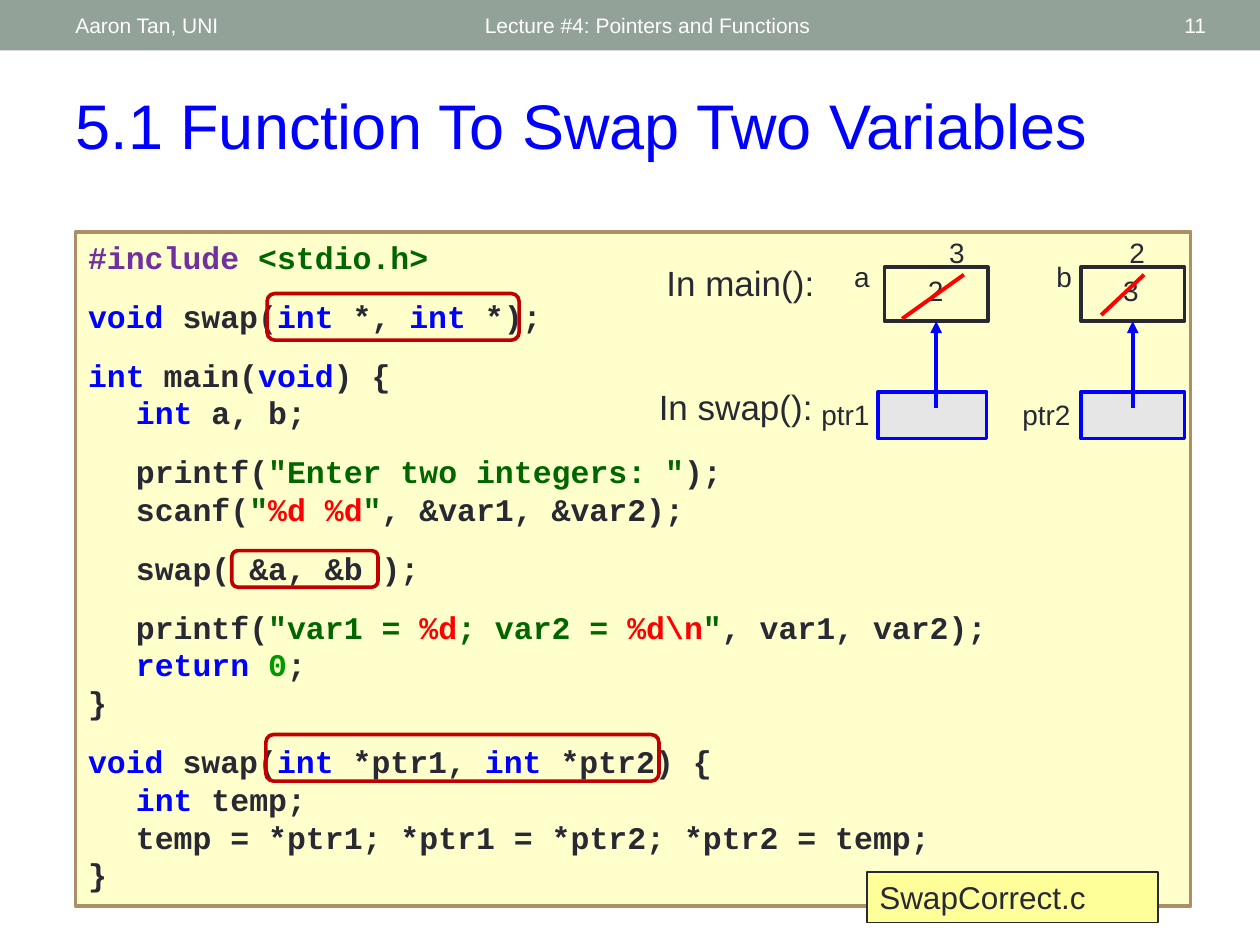
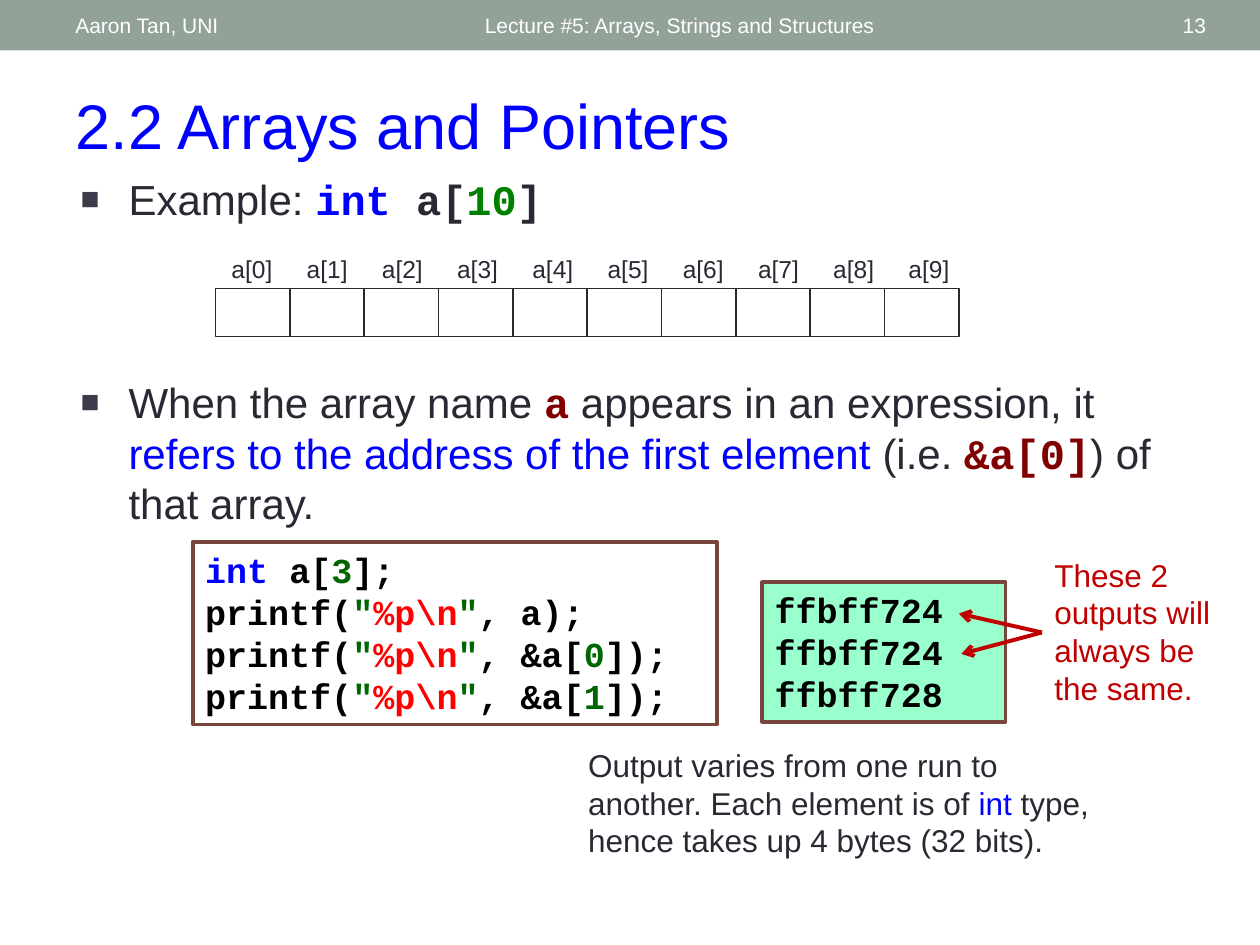
"""Build two programming lecture slides: swapping variables, and arrays and pointers."""
from functools import partial
from typing import NamedTuple, Optional

from lxml import etree
from pptx import Presentation
from pptx import util as u
from pptx.dml.color import RGBColor
from pptx.enum import shapes, text
from pptx.oxml.ns import qn

INK = RGBColor(0x29, 0x29, 0x34)
BLACK = RGBColor(0, 0, 0)
WHITE = RGBColor(255, 255, 255)
BLUE = RGBColor(0, 0, 255)
RED = RGBColor(255, 0, 0)
CRIMSON = RGBColor(0xC0, 0, 0)
MAROON = RGBColor(0x80, 0, 0)
PURPLE = RGBColor(0x70, 0x30, 0xA0)
DARK_GREEN = RGBColor(0, 0x66, 0)
MID_GREEN = RGBColor(0, 0x80, 0)
GREEN = RGBColor(0, 0x99, 0)
SAGE = RGBColor(0x93, 0xA2, 0x99)
CREAM = RGBColor(0xFF, 0xFF, 0xCC)
YELLOW = RGBColor(0xFF, 0xFF, 0x99)
MINT = RGBColor(0x99, 0xFF, 0xCC)
TAN = RGBColor(0xAD, 0x8F, 0x67)
BROWN = RGBColor(0x79, 0x46, 0x3D)
GREY = RGBColor(0xE6, 0xE6, 0xE6)
BULLET = "3B3B4B"

SANS, MONO = "Arial", "Courier New"
CELL = u.Inches(0.1)
COLS, ROWS = 100, 75
TAB = 3.8
BORDER = 2.08
LEFT, CENTER, RIGHT = text.PP_ALIGN.LEFT, text.PP_ALIGN.CENTER, text.PP_ALIGN.RIGHT


class Box(NamedTuple):
    """A place on the grid, in columns and rows."""
    col: float
    row: float
    cols: float
    rows: float


class Run(NamedTuple):
    """A stretch of text in one colour and font."""
    words: str
    color: RGBColor = INK
    font: str = SANS
    bold: bool = False


class Line(NamedTuple):
    """One paragraph, with the points of space above it and its indent in columns."""
    runs: list
    gap: float = 0
    indent: float = 0


class Variable(NamedTuple):
    """A variable of main() with the pointer of swap() that aims at it."""
    name: str
    name_box: Box
    old: str
    old_col: float
    new: str
    new_col: float
    cell: Box
    pointer: str
    pointer_box: Box
    pointer_cell: Box
    arrow_col: float
    strike: tuple


code = partial(Run, font=MONO, bold=True)
keyword = partial(code, color=BLUE)
string = partial(code, color=DARK_GREEN)
escape = partial(code, color=RED)
plain = partial(code, color=BLACK)


def grid(n: float) -> u.Emu:
    """Turn grid cells into a length."""
    return u.Emu(round(n * CELL))


def place(box: Box) -> list:
    """Turn a grid box into left, top, width and height."""
    return [grid(n) for n in box]


def write(sp, lines: list, size: float, align=LEFT, anchor=text.MSO_ANCHOR.TOP, wrap=True) -> None:
    """Write paragraphs into a shape, run by run."""
    tf = sp.text_frame
    tf.auto_size = text.MSO_AUTO_SIZE.NONE
    tf.word_wrap = wrap
    tf.vertical_anchor = anchor
    for i, line in enumerate(lines):
        p = tf.paragraphs[0] if i == 0 else tf.add_paragraph()
        p.alignment = align
        p.line_spacing = u.Pt(1.2 * size)
        p.space_before = u.Pt(line.gap)
        if line.indent:
            p._p.get_or_add_pPr().set("marL", str(grid(line.indent)))
        for run in line.runs:
            r = p.add_run()
            r.text = run.words
            r.font.size = u.Pt(size)
            r.font.name = run.font
            r.font.bold = run.bold
            r.font.color.rgb = run.color


def add_text(s, box: Box, runs: list, size: float, **layout) -> None:
    """Add a text box with one paragraph."""
    write(s.shapes.add_textbox(*place(box)), [Line(runs)], size, **layout)


def add_label(s, box: Box, words: str, size: float = 16) -> None:
    """Add a short centred label."""
    add_text(s, box, [Run(words)], size, align=CENTER, wrap=False)


def add_box(s, box: Box, fill: Optional[RGBColor] = None, line: Optional[RGBColor] = None,
            width: float = BORDER, kind=shapes.MSO_SHAPE.RECTANGLE):
    """Add a flat shape with an optional fill and border."""
    sp = s.shapes.add_shape(kind, *place(box))
    sp.shadow.inherit = False
    if fill is None:
        sp.fill.background()
    else:
        sp.fill.solid()
        sp.fill.fore_color.rgb = fill
    if line is None:
        sp.line.fill.background()
    else:
        sp.line.color.rgb = line
        sp.line.width = u.Pt(width)
    return sp


def add_line(s, ends: tuple, color: RGBColor, head: Optional[str] = None) -> None:
    """Add a straight line, with an arrowhead at its end if one is named."""
    cx = s.shapes.add_connector(shapes.MSO_CONNECTOR.STRAIGHT, *place(ends))
    cx.line.color.rgb = color
    cx.line.width = u.Pt(2.25)
    if head:
        etree.SubElement(cx.line._get_or_add_ln(), qn("a:tailEnd"), type=head)
    etree.SubElement(cx._element.spPr, qn("a:effectLst"))


def fill_placeholder(sp, box: Box, runs: list, size: float, **layout) -> None:
    """Move a placeholder and write its text."""
    sp.left, sp.top, sp.width, sp.height = place(box)
    write(sp, [Line(runs)], size, **layout)


def add_bullet(sp, box: Box, runs: list) -> None:
    """Fill a body placeholder with one square-bulleted item."""
    fill_placeholder(sp, box, runs, 24)
    pPr = sp.text_frame.paragraphs[0]._p.get_or_add_pPr()
    pPr.set("marL", str(grid(TAB)))
    pPr.set("indent", str(-grid(TAB)))
    color = etree.SubElement(pPr, qn("a:buClr"))
    etree.SubElement(color, qn("a:srgbClr"), val=BULLET)
    etree.SubElement(pPr, qn("a:buSzPct"), val="75000")
    etree.SubElement(pPr, qn("a:buFont"), typeface=SANS)
    etree.SubElement(pPr, qn("a:buChar"), char="■")


def start_slide(prs, layout: int, title: str, lecture: str, number: str):
    """Add a slide with the shared title and header band."""
    s = prs.slides.add_slide(prs.slide_layouts[layout])
    add_box(s, Box(0, 0, COLS, 4), SAGE)
    fill_placeholder(s.shapes.title, Box(5, 6.4, 91.7, 7.1), [Run(title, BLUE)], 36)
    for words, col, cols, align in ((lecture, 37.5, 45, LEFT), ("Aaron Tan, UNI", 5, 31.7, LEFT),
                                    (number, 87.2, 9.5, RIGHT)):
        add_text(s, Box(col, 0.2, cols, 3.6), [Run(words, WHITE)], 12, align=align,
                 anchor=text.MSO_ANCHOR.MIDDLE)
    return s


def add_variable(s, v: Variable) -> None:
    """Draw a variable, its struck-out value, and the pointer to it."""
    add_label(s, Box(v.old_col, 21.2, 6.1, 3.7), v.old)
    add_box(s, v.cell, line=INK)
    add_label(s, v.name_box, v.name)
    add_box(s, v.pointer_cell, GREY, BLUE)
    add_label(s, v.pointer_box, v.pointer)
    add_line(s, (v.arrow_col, 32.4, v.arrow_col, 25.5), BLUE, "triangle")
    add_line(s, v.strike, RED)
    add_label(s, Box(v.new_col, 18.2, 6.1, 3.7), v.new)


def build_swap(prs) -> None:
    """Build the slide on swapping two variables."""
    s = start_slide(prs, 5, "5.1 Function To Swap Two Variables",
                    "Lecture #4: Pointers and Functions", "11")
    gap = 12
    program = [
        Line([code("#include ", PURPLE), string("<stdio.h>")]),
        Line([keyword("void "), code("swap("), keyword("int "), code("*, "), keyword("int "),
              code("*);")], gap),
        Line([keyword("int"), code(" main("), keyword("void"), code(") {")], gap),
        Line([keyword("int "), code("a, b;")], 0, TAB),
        Line([code("printf("), string('"Enter two integers: "'), code(");")], gap, TAB),
        Line([code("scanf("), string('"'), escape("%d %d"), string('"'),
              code(", &var1, &var2);")], 0, TAB),
        Line([code("swap( &a, &b );")], gap, TAB),
        Line([code("printf("), string('"var1 = '), escape("%d"), string("; var2 = "),
              escape("%d\\n"), string('"'), code(", var1, var2);")], gap, TAB),
        Line([keyword("return "), code("0", GREEN), code(";")], 0, TAB),
        Line([code("}")]),
        Line([keyword("void "), code("swap("), keyword("int"), code(" *ptr1, "), keyword("int"),
              code(" *ptr2) {")], gap),
        Line([keyword("int "), code("temp;")], 0, TAB),
        Line([code("temp = *ptr1; *ptr1 = *ptr2; *ptr2 = temp;")], 0, TAB),
        Line([code("}")]),
    ]
    write(add_box(s, Box(6, 18.4, 88.5, 53.5), CREAM, TAN), program, 18)
    write(add_box(s, Box(68.8, 69.2, 23.1, 4), YELLOW, INK, 0.75),
          [Line([Run("SwapCorrect.c")])], 18)
    for highlight in (Box(18.4, 43.7, 11.6, 2.9), Box(21.2, 23.3, 20, 3.7),
                      Box(21.1, 58.3, 31.2, 3.7)):
        add_box(s, highlight, line=CRIMSON, kind=shapes.MSO_SHAPE.ROUNDED_RECTANGLE)
    add_text(s, Box(51.9, 20.3, 15.1, 4.4), [Run("In main():")], 20)
    add_text(s, Box(51.3, 30.1, 15.1, 4.4), [Run("In swap():")], 20)
    for v in (
        Variable("a", Box(65.6, 20.1, 5.6, 3.7), "2", 71.2, "3", 72.9, Box(70.2, 21.2, 8.2, 4.3),
                 "ptr1", Box(62.9, 31.1, 8.4, 3.7), Box(69.7, 31.1, 8.6, 3.7), 74.3,
                 (76.5, 21.8, 71.6, 25.3)),
        Variable("b", Box(82.5, 20.1, 3.9, 3.7), "3", 86.7, "2", 87.2, Box(85.8, 21.2, 8.2, 4.3),
                 "ptr2", Box(79.4, 31.1, 7.3, 3.7), Box(85.8, 31.1, 8.2, 3.7), 89.9,
                 (90.8, 21.8, 87.4, 25)),
    ):
        add_variable(s, v)


def build_arrays(prs) -> None:
    """Build the slide on arrays and pointers."""
    s = start_slide(prs, 3, "2.2 Arrays and Pointers",
                    "Lecture #5: Arrays, Strings and Structures", "13")
    add_bullet(s.placeholders[1], Box(5.4, 13.3, 88.9, 7.3),
               [Run("Example: "), keyword("int "), code("a["), code("10", MID_GREEN), code("]")])
    add_bullet(s.placeholders[2], Box(5.4, 29.4, 88.9, 13.3),
               [Run("When the array name "), code("a", MAROON),
                Run(" appears in an expression, it "),
                Run("refers to the address of the first element ", BLUE), Run("(i.e. "),
                code("&a[0]", MAROON), Run(") of that array.")])
    for i in range(10):
        add_label(s, Box(17.3 + 5.97 * i, 19.7, 5.4, 3.4), f"a[{i}]", 14)
        add_box(s, Box(17.1 + 5.9 * i, 22.9, 5.9, 3.8), line=INK, width=1)

    start = [plain("printf("), string('"'), escape("%p\\n"), string('"')]
    program = [Line([keyword("int"), plain(" a["), string("3"), plain("];")]),
               Line([*start, plain(", a);")])]
    program += [Line([*start, plain(", &a["), string(i), plain("]);")]) for i in "01"]
    output = [Line([plain(address)]) for address in ("ffbff724", "ffbff724", "ffbff728")]
    write(add_box(s, Box(15.3, 43, 41.6, 14.5), WHITE, BROWN), program, 20)
    write(add_box(s, Box(60.5, 46.2, 19.3, 11.1), MINT, BROWN), output, 20)
    add_text(s, Box(45.7, 58.7, 43.4, 10.1),
             [Run("Output varies from one run to another. Each element is of "),
              Run("int ", BLUE), Run("type, hence takes up 4 bytes (32 bits).")], 18)
    for tip in ((76.1, 48.7), (76.3, 51.9)):
        add_line(s, (82.7, 50.2, *tip), CRIMSON, "arrow")
    add_text(s, Box(82.7, 43.6, 14.5, 13.1),
             [Run("These 2 outputs will always be the same.", CRIMSON)], 18)


def main() -> None:
    """Build and save the presentation."""
    prs = Presentation()
    prs.slide_width, prs.slide_height = grid(COLS), grid(ROWS)
    build_swap(prs)
    build_arrays(prs)
    prs.save("out.pptx")


if __name__ == "__main__":
    main()
